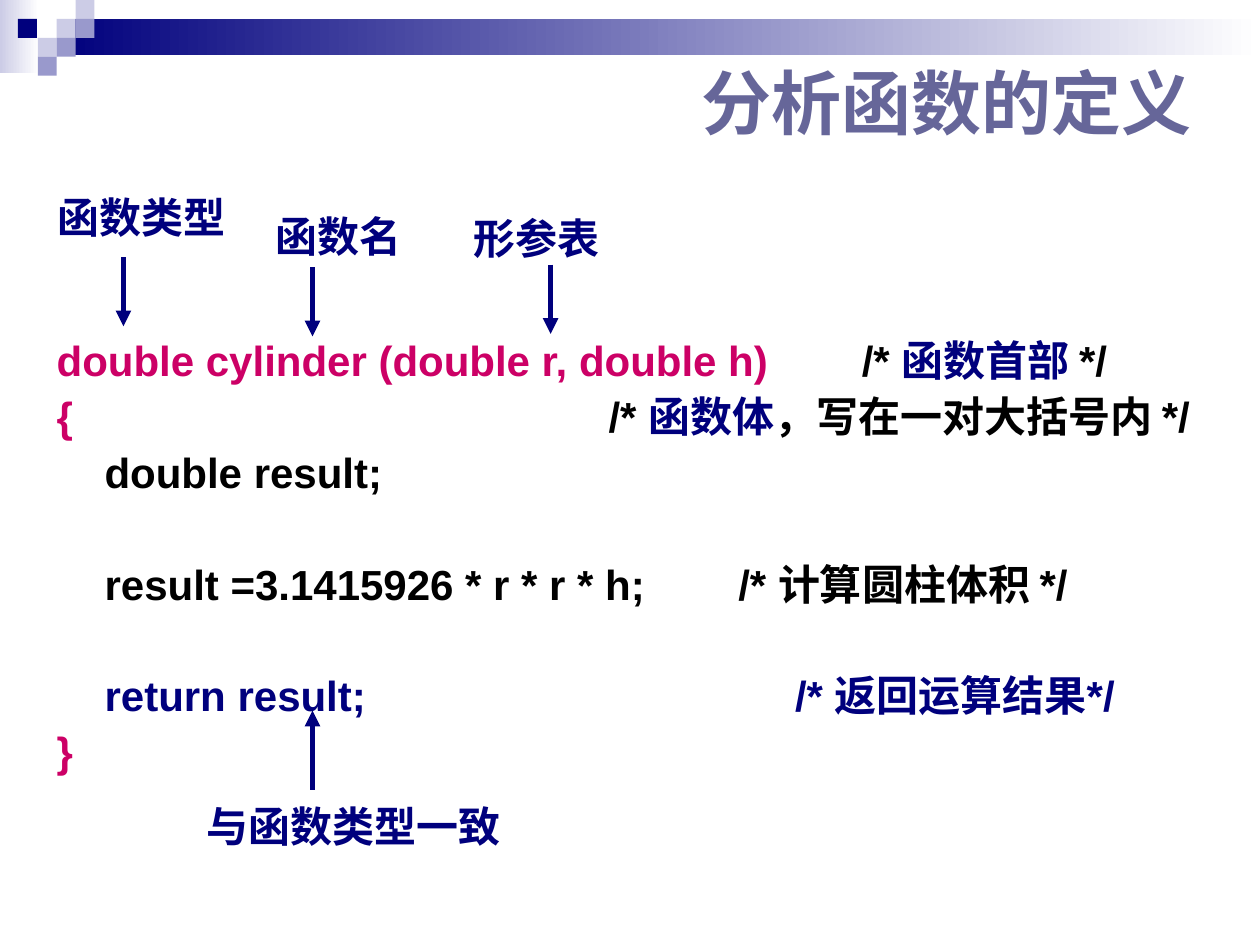
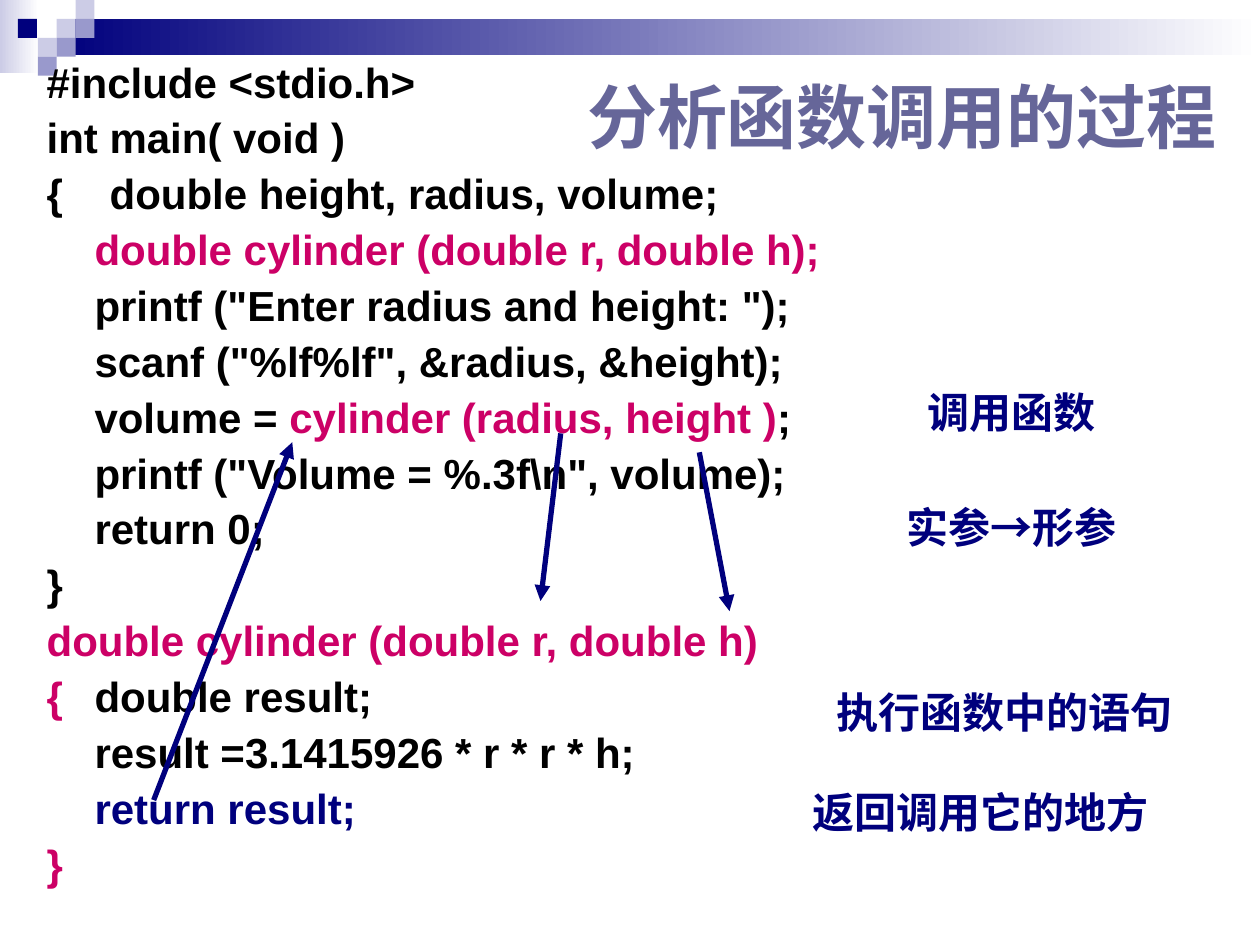
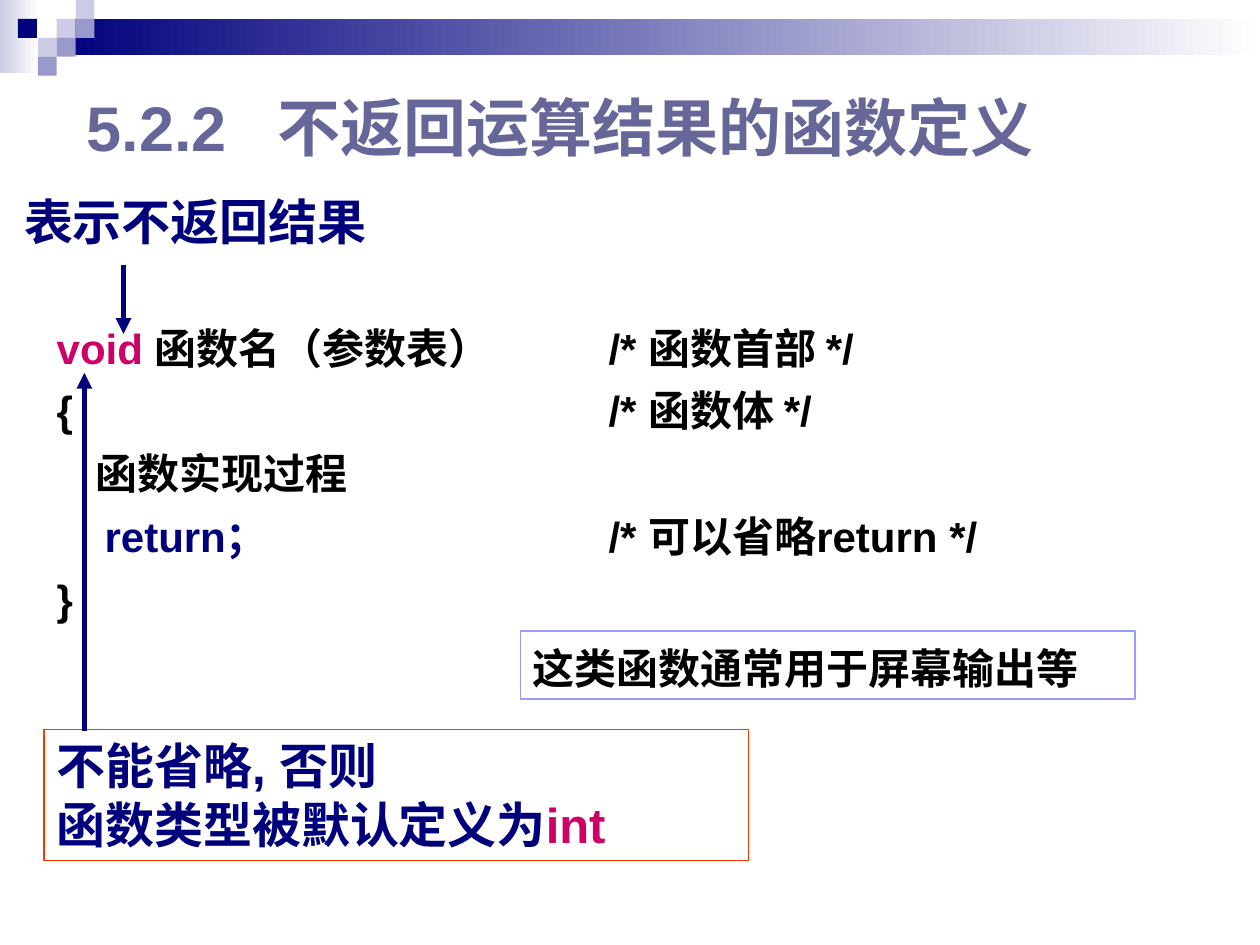
from dataclasses import dataclass

from lxml import etree
from pptx import Presentation
from pptx import util as u
from pptx.dml.color import RGBColor
from pptx.enum import shapes, text
from pptx.oxml.ns import qn

NAVY = RGBColor(0x00, 0x00, 0x7D)
PERIWINKLE = RGBColor(0x99, 0x99, 0xCC)
LAVENDER = RGBColor(0xCC, 0xCC, 0xE6)
SLATE = RGBColor(0x66, 0x66, 0x99)
MAGENTA = RGBColor(0xCC, 0x00, 0x66)
BLACK = RGBColor(0x00, 0x00, 0x00)
WHITE = RGBColor(0xFF, 0xFF, 0xFF)
NOTE_BLUE = RGBColor(0x99, 0x99, 0xFF)
NOTE_RED = RGBColor(0xFF, 0x33, 0x00)
FONT = "Arial"
CELL = 0.15
INDENT = 0.38
COMMENT = 4.38


@dataclass(frozen=True)
class Span:
    words: str
    color: RGBColor = BLACK


@dataclass(frozen=True)
class Line:
    spans: tuple[Span, ...]
    indent: float = 0
    tab: float = 1
    before: float = 6


@dataclass(frozen=True)
class Frame:
    left: float
    top: float
    width: float
    height: float

    def lengths(self) -> tuple:
        return tuple(u.Inches(n) for n in (self.left, self.top, self.width, self.height))


@dataclass(frozen=True)
class Label:
    words: str
    frame: Frame
    size: float = 24
    spacing: float = 1.0
    before: float = 0


@dataclass(frozen=True)
class Arrow:
    start: tuple[float, float]
    end: tuple[float, float]


@dataclass(frozen=True)
class Note:
    lines: tuple[Line, ...]
    frame: Frame
    edge: RGBColor
    edge_width: float
    size: float
    spacing: float = 1.0
    fill: RGBColor | None = None


@dataclass(frozen=True)
class Lesson:
    title: Line
    title_frame: Frame
    title_size: float
    code: tuple[Line, ...]
    code_frame: Frame
    spacing: float
    align: text.PP_ALIGN
    labels: tuple[Label, ...]
    arrows: tuple[Arrow, ...]
    notes: tuple[Note, ...] = ()


def line(words: str, color: RGBColor = BLACK, indent: float = 0,
         tab: float = 1, before: float = 6) -> Line:
    return Line((Span(words, color),), indent, tab, before)


def write(frame, lines, size, spacing=1.0, align=text.PP_ALIGN.LEFT) -> None:
    for index, item in enumerate(lines):
        para = frame.paragraphs[0] if index == 0 else frame.add_paragraph()
        para.alignment = align
        para.line_spacing = spacing
        para.space_before = u.Pt(item.before)
        para.space_after = u.Pt(0)
        props = para._p.get_or_add_pPr()
        props.set("marL", str(u.Inches(item.indent)))
        props.set("indent", "0")
        props.set("defTabSz", str(u.Inches(item.tab)))
        etree.SubElement(props, qn("a:buNone"))
        for span in item.spans:
            run = para.add_run()
            run.text = span.words
            run.font.name = FONT
            run.font.size = u.Pt(size)
            run.font.bold = True
            run.font.color.rgb = span.color


def fill_placeholder(box, frame: Frame, lines, size, spacing, align, anchor) -> None:
    box.left, box.top, box.width, box.height = frame.lengths()
    box.text_frame.word_wrap = True
    box.text_frame.auto_size = text.MSO_AUTO_SIZE.NONE
    box.text_frame.vertical_anchor = anchor
    write(box.text_frame, lines, size, spacing, align)


def add_rectangle(page, frame: Frame):
    box = page.shapes.add_shape(shapes.MSO_SHAPE.RECTANGLE, *frame.lengths())
    box.shadow.inherit = False
    return box


def add_label(page, label: Label) -> None:
    box = page.shapes.add_textbox(*label.frame.lengths())
    box.text_frame.word_wrap = False
    box.text_frame.auto_size = text.MSO_AUTO_SIZE.SHAPE_TO_FIT_TEXT
    words = line(label.words, NAVY, before=label.before)
    write(box.text_frame, (words,), label.size, label.spacing, text.PP_ALIGN.CENTER)


def add_note(page, note: Note) -> None:
    box = add_rectangle(page, note.frame)
    if note.fill is None:
        box.fill.background()
    else:
        box.fill.solid()
        box.fill.fore_color.rgb = note.fill
    box.line.color.rgb = note.edge
    box.line.width = u.Pt(note.edge_width)
    box.text_frame.word_wrap = True
    box.text_frame.auto_size = text.MSO_AUTO_SIZE.SHAPE_TO_FIT_TEXT
    box.text_frame.vertical_anchor = text.MSO_ANCHOR.TOP
    write(box.text_frame, note.lines, note.size, note.spacing)


def add_arrow(page, arrow: Arrow) -> None:
    points = [u.Inches(n) for n in arrow.start + arrow.end]
    connector = page.shapes.add_connector(shapes.MSO_CONNECTOR.STRAIGHT, *points)
    connector.line.color.rgb = NAVY
    connector.line.width = u.Pt(3)
    props = connector.element.spPr
    etree.SubElement(props.get_or_add_ln(), qn("a:tailEnd"), type="triangle")
    etree.SubElement(props, qn("a:effectLst"))


def decorate_master(deck, page) -> None:
    bands = (
        (Frame(0, 0, 0.31, 0.58), LAVENDER),
        (Frame(0.45, 0.15, 9.55, 0.29), NAVY),
    )
    squares = (
        (3, 1, LAVENDER), (4, 0, LAVENDER), (4, 1, PERIWINKLE), (2, 2, LAVENDER),
        (0.95, 1, NAVY), (3, 2, PERIWINKLE), (2, 3, PERIWINKLE),
    )
    pieces = []
    for frame, color in bands:
        band = add_rectangle(page, frame)
        band.fill.gradient()
        band.fill.gradient_angle = 180
        for stop, shade in zip(band.fill.gradient_stops, (WHITE, color)):
            stop.color.rgb = shade
        pieces.append(band)
    for column, row, color in squares:
        square = add_rectangle(page, Frame(column * CELL, row * CELL, CELL, CELL))
        square.fill.solid()
        square.fill.fore_color.rgb = color
        pieces.append(square)
    tree = deck.slide_master.shapes.element
    for index, piece in enumerate(pieces):
        piece.line.fill.background()
        piece.element.xpath("./p:nvSpPr/p:cNvPr")[0].set("id", str(100 + index))
        tree.insert(2 + index, piece.element)


def build_page(page, lesson: Lesson) -> None:
    title, body = page.placeholders
    fill_placeholder(title, lesson.title_frame, (lesson.title,), lesson.title_size,
                     1.0, text.PP_ALIGN.LEFT, text.MSO_ANCHOR.MIDDLE)
    fill_placeholder(body, lesson.code_frame, lesson.code, 24,
                     lesson.spacing, lesson.align, text.MSO_ANCHOR.TOP)
    for note in lesson.notes:
        add_note(page, note)
    for label in lesson.labels:
        add_label(page, label)
    for arrow in lesson.arrows:
        add_arrow(page, arrow)


HEADER = "double cylinder (double r, double h)"
FORMULA = "result =3.1415926 * r * r * h;"

DEFINITION = Lesson(
    title=line("分析函数的定义", SLATE, before=0),
    title_frame=Frame(5.47, 0.28, 4.33, 1.05),
    title_size=40,
    code=(
        Line((Span(HEADER, MAGENTA), Span("\t/* "), Span("函数首部 ", NAVY), Span("*/")),
             tab=6.39),
        Line((Span("{\t", MAGENTA), Span("/* "), Span("函数体", NAVY),
              Span("，写在一对大括号内 */")), tab=COMMENT),
        line("double result;", indent=INDENT),
        line(f"{FORMULA}\t/* 计算圆柱体积 */", indent=INDENT, tab=5.03, before=38),
        line("return result;\t/* 返回运算结果*/", NAVY, INDENT, 5.48, 38),
        line("}", MAGENTA),
    ),
    code_frame=Frame(0.35, 2.65, 9.37, 4.17),
    spacing=0.9,
    align=text.PP_ALIGN.LEFT,
    labels=(
        Label("函数类型", Frame(0.36, 1.47, 1.53, 0.5)),
        Label("函数名", Frame(2.09, 1.62, 1.2, 0.5)),
        Label("形参表", Frame(3.66, 1.64, 1.2, 0.5)),
        Label("与函数类型一致", Frame(1.54, 6.35, 2.53, 0.46), spacing=0.9, before=6),
    ),
    arrows=(
        Arrow((0.98, 2.04), (0.98, 2.59)),
        Arrow((2.48, 2.12), (2.48, 2.67)),
        Arrow((4.37, 2.1), (4.37, 2.65)),
        Arrow((2.48, 6.27), (2.48, 5.64)),
    ),
)

CALL = Lesson(
    title=line("分析函数调用的过程", SLATE, before=0),
    title_frame=Frame(4.56, 0.36, 5.44, 1.12),
    title_size=40,
    code=(
        line("#include <stdio.h>"),
        line("int main( void )"),
        line("{\tdouble height, radius, volume;", tab=0.5),
        line(f"{HEADER};", MAGENTA, INDENT),
        line('printf ("Enter radius and height: ");', indent=INDENT),
        line('scanf ("%lf%lf", &radius, &height);', indent=INDENT),
        Line((Span("volume ="), Span(" cylinder (radius, height )", MAGENTA), Span(";")), INDENT),
        line('printf ("Volume = %.3f\\n", volume);', indent=INDENT),
        line("return 0;", indent=INDENT),
        line("}"),
        line(HEADER, MAGENTA),
        Line((Span("{\t", MAGENTA), Span("double result;")), tab=INDENT),
        line(FORMULA, indent=INDENT),
        line("return result;", NAVY, INDENT),
        line("}", MAGENTA),
    ),
    code_frame=Frame(0.27, 0.44, 6.69, 6.82),
    spacing=0.9,
    align=text.PP_ALIGN.LEFT,
    labels=(
        Label("调用函数", Frame(7.26, 3.02, 1.54, 0.5)),
        Label("实参→形参", Frame(7.09, 3.93, 1.88, 0.5)),
        Label("执行函数中的语句", Frame(6.53, 5.4, 2.88, 0.5)),
        Label("返回调用它的地方", Frame(6.34, 6.19, 2.88, 0.5)),
    ),
    arrows=(
        Arrow((4.45, 3.44), (4.29, 4.77)),
        Arrow((5.55, 3.59), (5.79, 4.85)),
        Arrow((1.22, 6.35), (2.32, 3.51)),
    ),
)

NO_RESULT = Lesson(
    title=line("5.2.2\t不返回运算结果的函数定义", SLATE, tab=1.51, before=0),
    title_frame=Frame(0.59, 0.44, 8.43, 1.12),
    title_size=36,
    code=(
        Line((Span("void ", MAGENTA), Span("函数名（参数表）\t/* 函数首部 */")), tab=COMMENT),
        line("{\t/* 函数体 */", tab=COMMENT),
        line("函数实现过程", indent=0.31),
        Line((Span("return；\t", NAVY), Span("/* 可以省略return */")),
             INDENT, COMMENT - INDENT),
        line("}"),
    ),
    code_frame=Frame(0.35, 2.49, 9.37, 2.68),
    spacing=1.04,
    align=text.PP_ALIGN.JUSTIFY,
    labels=(Label("表示不返回结果", Frame(0.09, 1.47, 2.92, 0.57), size=28),),
    arrows=(
        Arrow((0.98, 2.1), (0.98, 2.65)),
        Arrow((0.67, 5.8), (0.67, 2.96)),
    ),
    notes=(
        Note((line("这类函数通常用于屏幕输出等", before=15),),
             Frame(4.13, 5.01, 4.88, 0.54), NOTE_BLUE, 1, 24, 1.1, WHITE),
        Note((line("不能省略, 否则", NAVY, before=0),
              Line((Span("函数类型被默认定义为", NAVY), Span("int", MAGENTA)), before=0)),
             Frame(0.35, 5.79, 5.59, 1.04), NOTE_RED, 0.75, 28),
    ),
)


def main() -> None:
    deck = Presentation()
    deck.slide_width, deck.slide_height = u.Inches(10), u.Inches(7.5)
    layout = deck.slide_layouts[1]
    for index, lesson in enumerate((DEFINITION, CALL, NO_RESULT)):
        page = deck.slides.add_slide(layout)
        if index == 0:
            decorate_master(deck, page)
        build_page(page, lesson)
    deck.save("out.pptx")


if __name__ == "__main__":
    main()
